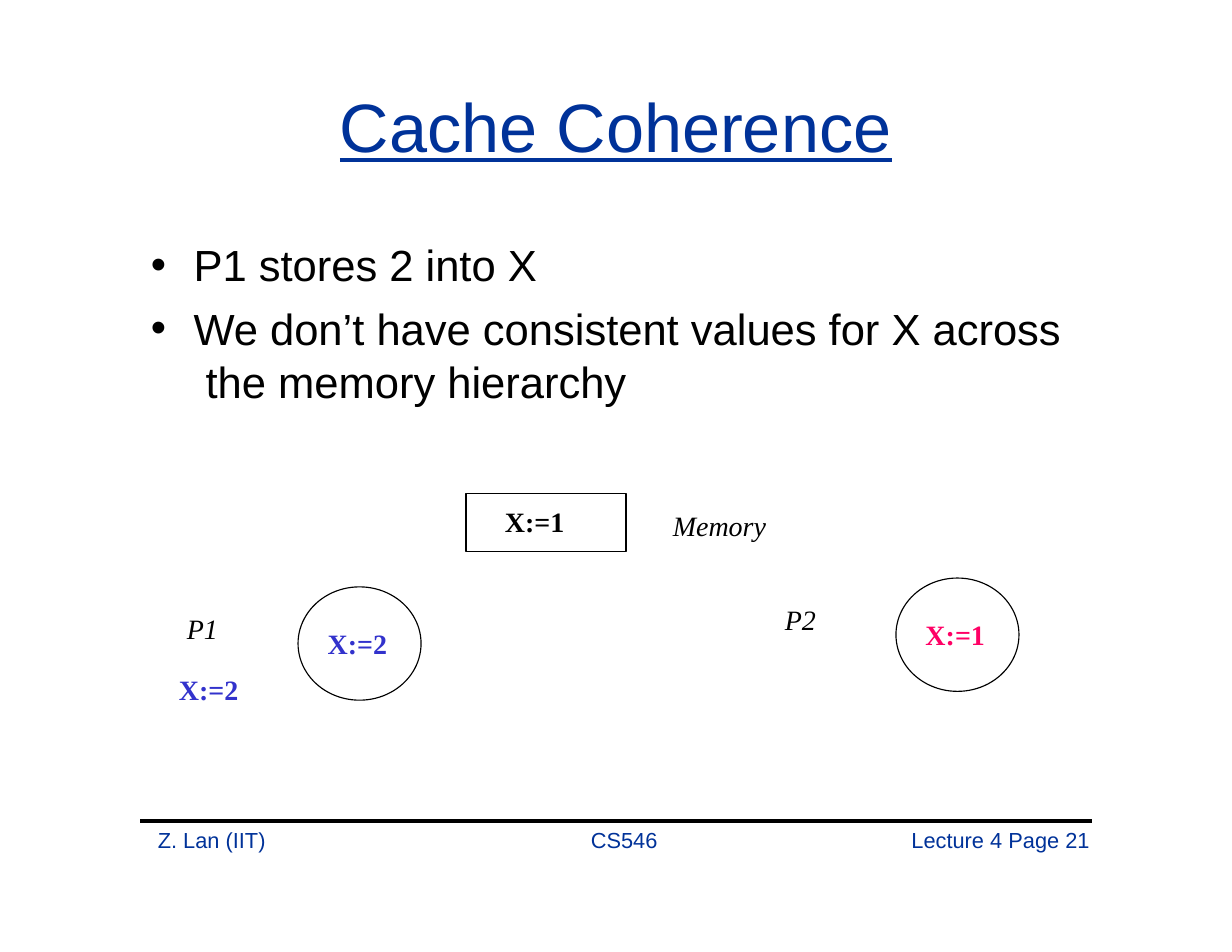
import pptx
import pptx.util
import pptx.dml.color
import pptx.enum.text
import pptx.enum.shapes
import pptx.oxml
import pptx.oxml.ns
from pptx.util import Cm

COLORS = {"navy": "003299", "black": "000000", "blue": "3232CC", "pink": "FF0065"}
TITLE = {"name": "Arial", "size": pptx.util.Pt(44), "bold": False, "underline": True}
BODY = {"name": "Arial", "size": pptx.util.Pt(28), "bold": False}
LABEL = {"name": "Times New Roman", "size": pptx.util.Pt(18), "italic": True}
VALUE = {"name": "Times New Roman", "size": pptx.util.Pt(18), "bold": True}
FOOTER = {"name": "Arial", "size": pptx.util.Pt(14)}
ALIGN = pptx.enum.text.PP_ALIGN
SHAPES = pptx.enum.shapes.MSO_SHAPE


def rgb(color):
    return pptx.dml.color.RGBColor.from_string(COLORS[color])


def place(shape, box):
    for name, length in zip(("left", "top", "width", "height"), box):
        setattr(shape, name, Cm(length))


def prepare_frame(frame, wrap, top_margin=0):
    settings = {
        "margin_left": 0, "margin_top": Cm(top_margin),
        "margin_right": 0, "margin_bottom": 0, "word_wrap": wrap,
        "auto_size": pptx.enum.text.MSO_AUTO_SIZE.NONE,
        "vertical_anchor": pptx.enum.text.MSO_ANCHOR.TOP,
    }
    for name, value in settings.items():
        setattr(frame, name, value)


def write(para, text, font, color, line_height, align=ALIGN.LEFT, before=0):
    para.text = text
    para.alignment = align
    para.line_spacing = pptx.util.Pt(line_height)
    para.space_before = pptx.util.Pt(before)
    for span in para.runs:
        for name, value in font.items():
            setattr(span.font, name, value)
        span.font.color.rgb = rgb(color)


def add_text(page, box, text, font, color, line_height):
    shape = page.shapes.add_textbox(*map(Cm, box))
    prepare_frame(shape.text_frame, False)
    write(shape.text_frame.paragraphs[0], text, font, color, line_height)


def add_label(page, left, top, width, text):
    add_text(page, (left, top, width, 0.81), text, LABEL, "black", 22)


def add_value(page, left, top, text, color):
    add_text(page, (left, top, 1.42, 0.69), text, VALUE, color, 19.4)


def add_outline(page, kind, box):
    shape = page.shapes.add_shape(kind, *map(Cm, box))
    shape.shadow.inherit = False
    shape.fill.background()
    shape.line.color.rgb = rgb("black")
    shape.line.width = pptx.util.Pt(0.75)


def add_title(page, box):
    title = page.shapes.title
    place(title, box)
    prepare_frame(title.text_frame, True, 0.66)
    write(title.text_frame.paragraphs[0], "Cache Coherence", TITLE, "navy", 53.7, ALIGN.CENTER)


def add_points(page, box, points):
    body = page.placeholders[1]
    place(body, box)
    frame = body.text_frame
    prepare_frame(frame, True)
    for index, point in enumerate(points):
        para = frame.add_paragraph() if index else frame.paragraphs[0]
        write(para, point, BODY, "black", 34.2, before=6.7 if index else 0)
        properties = para._p.get_or_add_pPr()
        properties.set("marL", str(Cm(0.99)))
        properties.set("indent", str(Cm(-0.97)))
        bullet = pptx.oxml.parse_xml(
            '<a:buChar xmlns:a="%s" char="•"/>' % pptx.oxml.ns.nsdecls("a").split('"')[1])
        properties.append(bullet)


def add_memory(page, box):
    left, top, width, height = box
    add_outline(page, SHAPES.RECTANGLE, box)
    add_value(page, left + 0.88, top + 0.33, "X:=1", "black")
    add_label(page, left + width + 1.06, top + 0.33, 2.18, "Memory")


def add_processor(page, box, name, cached, color, register=None):
    left, top, width, height = box
    add_label(page, left + 0.02, top + 0.55, 0.79, name)
    add_outline(page, SHAPES.OVAL, (left + 2.54, top, width - 2.54, height))
    add_value(page, left + 3.21, top + 0.97, cached, color)
    if register:
        add_value(page, left - 0.16, top + 2.03, register, color)


def add_footer(page, box, entries):
    left, top, width, height = box
    rule = page.shapes.add_connector(
        pptx.enum.shapes.MSO_CONNECTOR.STRAIGHT,
        Cm(left), Cm(top), Cm(left + width), Cm(top))
    rule.line.color.rgb = rgb("black")
    rule.line.width = pptx.util.Pt(2.28)
    rule._element.spPr.append(
        pptx.oxml.parse_xml("<a:effectLst %s/>" % pptx.oxml.ns.nsdecls("a")))
    for offset, entry_width, text in entries:
        add_text(page, (left + offset, top + 0.2, entry_width, height - 0.2),
                 text, FOOTER, "navy", 14.7)


deck = pptx.Presentation()
deck.slide_width, deck.slide_height = Cm(27.94), Cm(21.59)
page = deck.slides.add_slide(deck.slide_layouts[1])
add_title(page, (3.94, 1.22, 20.06, 3.38))
add_points(page, (3.4, 5.38, 20.75, 3.86), [
    "P1 stores 2 into X",
    "We don’t have consistent values for X across\v the memory hierarchy",
])
add_memory(page, (10.57, 11.2, 3.63, 1.3))
add_processor(page, (4.22, 13.31, 5.33, 2.57), "P1", "X:=2", "blue", "X:=2")
add_processor(page, (17.78, 13.11, 5.33, 2.57), "P2", "X:=1", "pink")
add_footer(page, (3.18, 18.62, 21.59, 0.76), [
    (0.4, 2.51, "Z. Lan (IIT)"),
    (10.22, 1.57, "CS546"),
    (17.49, 4.14, "Lecture 4 Page 21"),
])
deck.save("out.pptx")
